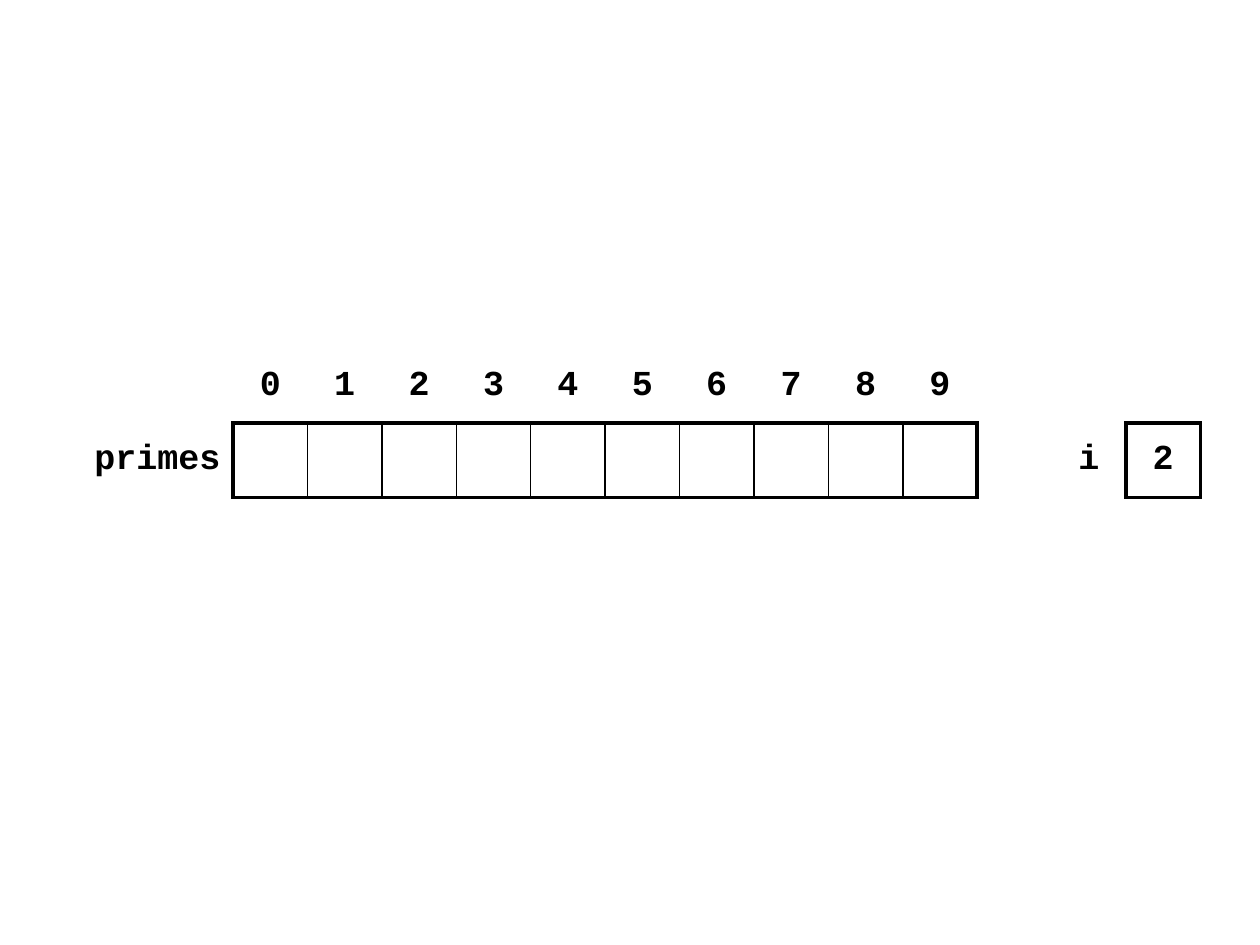
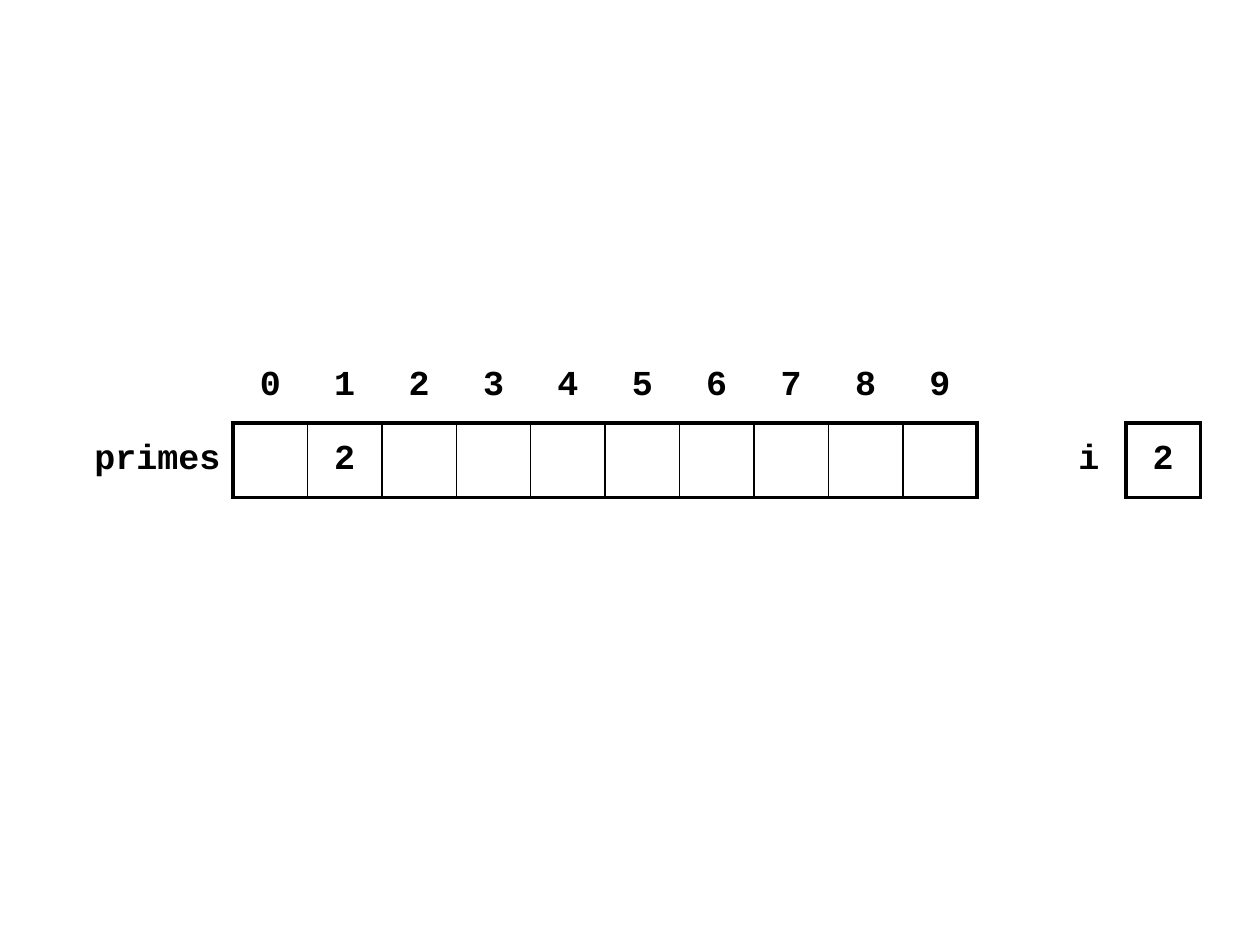
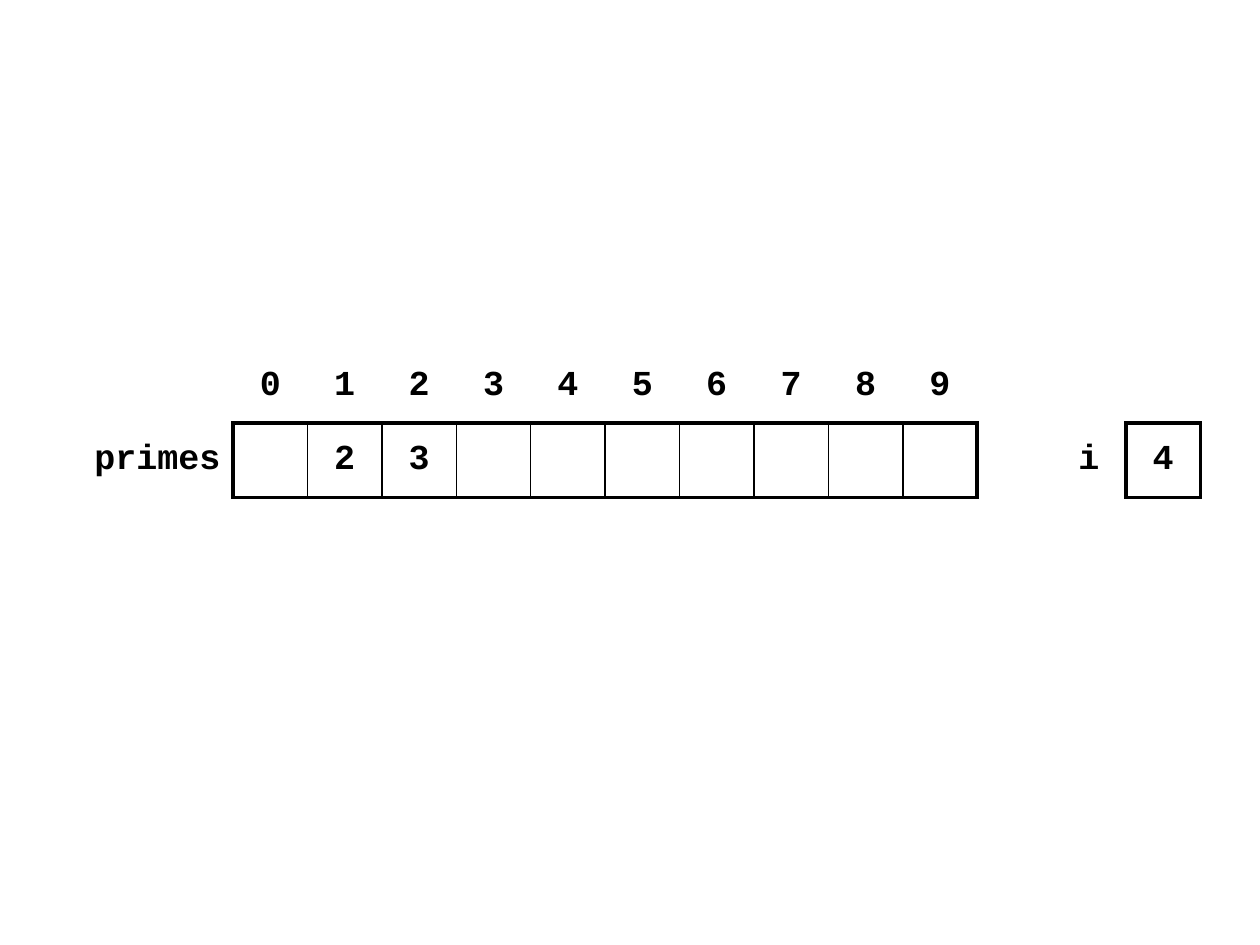
from lxml import etree
from pptx import Presentation
from pptx.dml.color import RGBColor
from pptx.enum.text import MSO_ANCHOR, PP_ALIGN
from pptx.oxml.ns import qn
from pptx.util import Pt

ARRAY_NAME = "primes"
ARRAY_SIZE = 10
COUNTER_NAME = "i"
STEPS = [
    {"primes": {}, "counter": 2},
    {"primes": {1: 2}, "counter": 2},
    {"primes": {1: 2, 2: 3}, "counter": 4},
]

BLACK = RGBColor(0, 0, 0)
CENTER, RIGHT = PP_ALIGN.CENTER, PP_ALIGN.RIGHT
MIDDLE = MSO_ANCHOR.MIDDLE
CODE_FONT = {"name": "Courier New", "size": Pt(20), "bold": True}
PLAIN_TABLE = {"first_row": False, "horz_banding": False}

SLIDE_WIDTH, SLIDE_HEIGHT = 720, 540
MEMORY_LEFT, MEMORY_TOP = 33.84, 199.3
NAME_WIDTH, CELL_SIZE = 99.36, 42.52
THICK, THIN = 2.25, 1

FIRST_SLOT = 1
ARRAY_END = FIRST_SLOT + ARRAY_SIZE
COUNTER_LABEL = ARRAY_END + 1
COUNTER_SLOT = COUNTER_LABEL + 1
COLUMN_COUNT = COUNTER_SLOT + 1
SLOTS = [*range(FIRST_SLOT, ARRAY_END), COUNTER_SLOT]
OUTER_EDGES = (FIRST_SLOT, ARRAY_END, COUNTER_SLOT, COLUMN_COUNT)


def apply(target, values):
    for attribute, value in values.items():
        setattr(target, attribute, value)


def upright_weight(row, edge):
    if row == 0:
        return 0
    if edge in OUTER_EDGES:
        return THICK
    return THIN if FIRST_SLOT < edge < ARRAY_END else 0


def level_weight(column, edge):
    return THICK if edge > 0 and column in SLOTS else 0


def add_border(cell, side, weight):
    border = etree.SubElement(cell._tc.get_or_add_tcPr(), qn(f"a:ln{side}"))
    border.set("w", str(int(Pt(weight))))
    if weight:
        solid = etree.SubElement(border, qn("a:solidFill"))
        etree.SubElement(solid, qn("a:srgbClr"), val=str(BLACK))
    else:
        etree.SubElement(border, qn("a:noFill"))


def format_cell(cell, row, column):
    weights = {
        "L": upright_weight(row, column),
        "R": upright_weight(row, column + 1),
        "T": level_weight(column, row),
        "B": level_weight(column, row + 1),
    }
    for side, weight in weights.items():
        add_border(cell, side, weight)
    cell.fill.background()
    cell.vertical_anchor = MIDDLE


def write(cell, content, alignment=CENTER):
    cell.text = str(content)
    paragraph = cell.text_frame.paragraphs[0]
    paragraph.alignment = alignment
    font = paragraph.runs[0].font
    apply(font, CODE_FONT)
    font.color.rgb = BLACK


def add_memory(slide, step):
    width = NAME_WIDTH + (COLUMN_COUNT - 1) * CELL_SIZE
    memory = slide.shapes.add_table(
        2, COLUMN_COUNT, Pt(MEMORY_LEFT), Pt(MEMORY_TOP), Pt(width), Pt(2 * CELL_SIZE)
    ).table
    apply(memory, PLAIN_TABLE)
    for column in range(COLUMN_COUNT):
        memory.columns[column].width = Pt(CELL_SIZE if column else NAME_WIDTH)
        for row in range(2):
            format_cell(memory.cell(row, column), row, column)
    for index in range(ARRAY_SIZE):
        write(memory.cell(0, FIRST_SLOT + index), index)
    for index, prime in step["primes"].items():
        write(memory.cell(1, FIRST_SLOT + index), prime)
    write(memory.cell(1, 0), ARRAY_NAME, RIGHT)
    write(memory.cell(1, COUNTER_LABEL), COUNTER_NAME)
    write(memory.cell(1, COUNTER_SLOT), step["counter"])


def main():
    deck = Presentation()
    apply(deck, {"slide_width": Pt(SLIDE_WIDTH), "slide_height": Pt(SLIDE_HEIGHT)})
    for step in STEPS:
        add_memory(deck.slides.add_slide(deck.slide_layouts[6]), step)
    deck.save("out.pptx")


if __name__ == "__main__":
    main()
